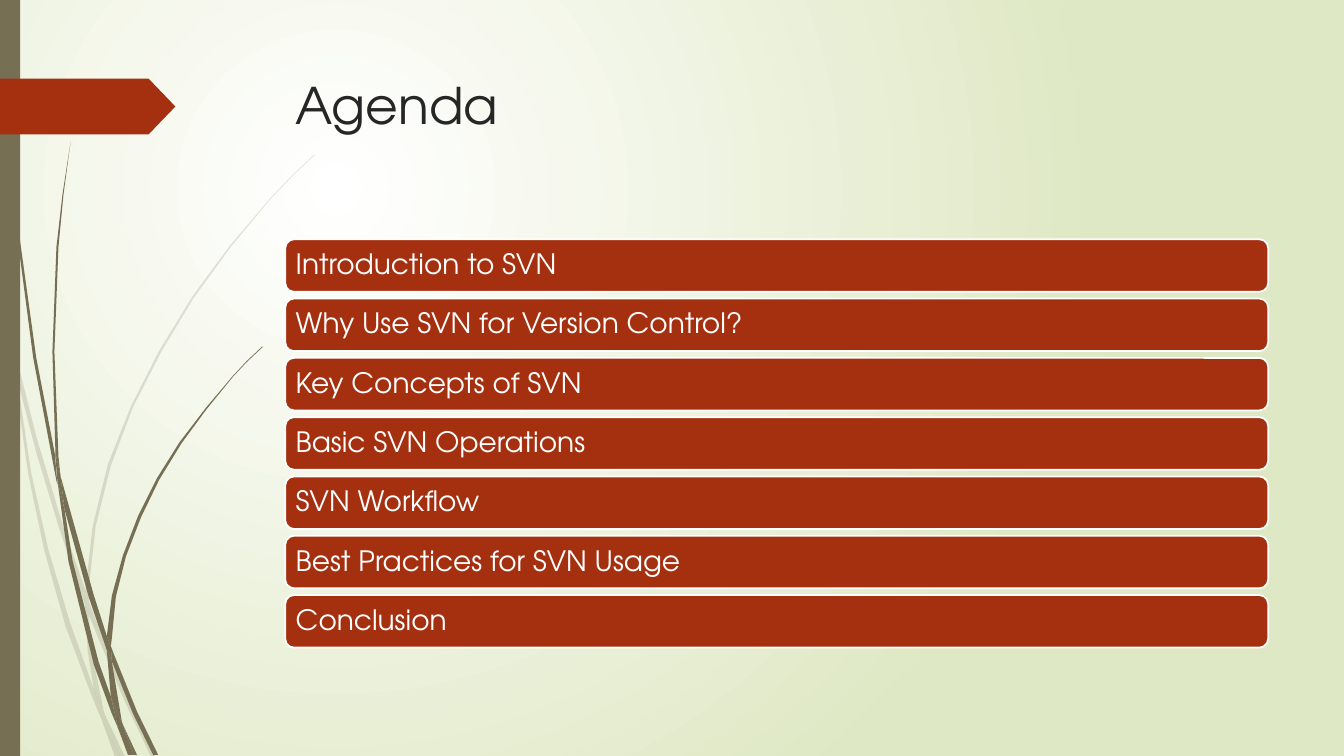
from dataclasses import dataclass

import lxml.etree
import pptx
import pptx.dml.color
import pptx.enum.shapes
import pptx.enum.text
import pptx.oxml.ns
import pptx.util

Cm, Pt = pptx.util.Cm, pptx.util.Pt
RGB = pptx.dml.color.RGBColor.from_string
SHAPES = pptx.enum.shapes.MSO_SHAPE
ANCHOR = pptx.enum.text.MSO_ANCHOR
ALIGN = pptx.enum.text.PP_ALIGN
qn = pptx.oxml.ns.qn


@dataclass(frozen=True)
class Theme:
    font: str = "TeX Gyre Adventor"
    title_size: int = 36
    item_size: int = 20
    accent: str = "A53010"
    grass: str = "766F54"
    title: str = "262626"
    light: str = "FFFFFF"
    backdrop: str = "DFE8C4"
    faint: int = 20


@dataclass(frozen=True)
class Box:
    """A region in centimetres."""
    left: float
    top: float
    width: float
    height: float

    def place(self):
        return Cm(self.left), Cm(self.top), Cm(self.width), Cm(self.height)


THEME = Theme()
PAGE = Box(0, 0, 33.87, 19.05)
TOPICS = [
    "Introduction to SVN",
    "Why Use SVN for Version Control?",
    "Key Concepts of SVN",
    "Basic SVN Operations",
    "SVN Workflow",
    "Best Practices for SVN Usage",
    "Conclusion",
]
# Outlines of the grass, on a grid with this unit.
GRASS_UNIT = Cm(2.54) / 100
FAINT_GRASS = [
    [(11, 350), (9, 322), (0, 282), (0, 299), (10, 344)],
    [(58, 522), (84, 599), (85, 586), (62, 520), (36, 433), (14, 345), (17, 376), (36, 449)],
    [(92, 607), (88, 596), (88, 610), (123, 694), (150, 751), (155, 751), (127, 692)],
    [(119, 751), (124, 751), (105, 711)],
    [(93, 683), (70, 619), (48, 545), (31, 469), (17, 376), (11, 350), (28, 470),
     (44, 546), (65, 621), (92, 693), (101, 714), (99, 707)],
    [(84, 599), (87, 646), (93, 683), (96, 692), (105, 711), (103, 706), (91, 646),
     (88, 610), (88, 608)],
    [(88, 584), (95, 522), (110, 462), (132, 404), (160, 349), (192, 296), (229, 245),
     (268, 198), (290, 175), (312, 154), (312, 153), (289, 175), (268, 197), (228, 244),
     (191, 294), (158, 348), (130, 403), (107, 461), (92, 522), (85, 584), (85, 586),
     (88, 596)],
    [(101, 714), (114, 751), (119, 751)],
    [(88, 608), (88, 610), (88, 596), (85, 586), (84, 599)],
    [(96, 692), (93, 683), (99, 707), (101, 714), (119, 751), (105, 711)],
]
STRONG_GRASS = [
    [(7, 110), (17, 233), (33, 355), (56, 477), (57, 481), (55, 457), (55, 453),
     (36, 355), (19, 232), (8, 109), (5, 48), (4, 0), (3, 0), (4, 48)],
    [(88, 592), (106, 645), (106, 633), (106, 631), (93, 590), (60, 472), (64, 505)],
    [(113, 649), (110, 641), (111, 656), (132, 708), (152, 749), (157, 749), (136, 706)],
    [(110, 691), (98, 657), (72, 556), (64, 505), (57, 477), (68, 557), (93, 659),
     (111, 708), (117, 722), (116, 717)],
    [(60, 472), (58, 453), (54, 349), (58, 245), (63, 193), (70, 141), (62, 193),
     (56, 245), (52, 349), (55, 449)],
    [(133, 749), (136, 749), (122, 719)],
    [(57, 477), (64, 505), (60, 472), (55, 449), (55, 453)],
    [(111, 633), (115, 592), (125, 552), (140, 513), (158, 476), (180, 440), (205, 406),
     (231, 374), (245, 359), (261, 344), (260, 344), (245, 358), (231, 373), (204, 405),
     (178, 439), (156, 474), (137, 512), (122, 551), (111, 591), (106, 631), (110, 641)],
    [(117, 722), (127, 749), (131, 749)],
    [(106, 645), (110, 691), (116, 706), (122, 719), (121, 716), (111, 656), (109, 651)],
    [(106, 645), (109, 651), (111, 656), (110, 641), (106, 631), (106, 633)],
    [(116, 706), (110, 691), (116, 717), (117, 722), (130, 749), (133, 749), (122, 719)],
]


def paint_background(page):
    """Radial gradient centred a quarter of the way in from the top left."""
    fill = page.background.fill
    fill.gradient()
    for stop, color in zip(fill.gradient_stops, (THEME.light, THEME.backdrop)):
        stop.color.rgb = RGB(color)
    gradient = page.element.find(".//" + qn("a:gradFill"))
    gradient.remove(gradient.find(qn("a:lin")))
    circle = lxml.etree.SubElement(gradient, qn("a:path"), path="circle")
    lxml.etree.SubElement(circle, qn("a:fillToRect"),
                          l="50000", t="50000", r="100000", b="100000")


def paint(shape, color, outline=None):
    shape.shadow.inherit = False
    shape.fill.solid()
    shape.fill.fore_color.rgb = RGB(color)
    if outline:
        shape.line.color.rgb = RGB(outline)
        shape.line.width = Pt(1.25)
    else:
        shape.line.fill.background()


def add_grass(page, box, outlines, alpha=None):
    for start, *rest in outlines:
        builder = page.shapes.build_freeform(*start, scale=GRASS_UNIT)
        builder.add_line_segments(rest, close=True)
        blade = builder.convert_to_shape(Cm(box.left), Cm(box.top))
        paint(blade, THEME.grass)
        if alpha:
            color = blade.element.spPr.find(".//" + qn("a:srgbClr"))
            lxml.etree.SubElement(color, qn("a:alpha"), val=str(alpha * 1000))


def add_decoration(page, box):
    add_grass(page, box, FAINT_GRASS, THEME.faint)
    add_grass(page, box, STRONG_GRASS)
    strip = Box(box.left, box.top, 0.51, box.height)
    paint(page.shapes.add_shape(SHAPES.RECTANGLE, *strip.place()), THEME.grass)
    tag = Box(box.left, box.top + 1.98, 4.42, 1.41)
    arrow = page.shapes.add_shape(SHAPES.PENTAGON, *tag.place())
    arrow.adjustments[0] = 0.48
    paint(arrow, THEME.accent)


def style_text(para, size, color):
    para.alignment = ALIGN.LEFT
    para.font.name = THEME.font
    para.font.size = Pt(size)
    para.font.color.rgb = RGB(color)


def add_title(page, box, text):
    title = page.shapes.title
    title.left, title.top, title.width, title.height = box.place()
    title.text_frame.text = text
    title.text_frame.vertical_anchor = ANCHOR.TOP
    style_text(title.text_frame.paragraphs[0], THEME.title_size, THEME.title)


def add_topics(page, box, topics, gap=0.17):
    """Stack equal bars that fill the box, one for each topic."""
    height = (box.height - gap * (len(topics) - 1)) / len(topics)
    for row, topic in enumerate(topics):
        place = Box(box.left, box.top + row * (height + gap), box.width, height)
        bar = page.shapes.add_shape(SHAPES.ROUNDED_RECTANGLE, *place.place())
        paint(bar, THEME.accent, THEME.light)
        frame = bar.text_frame
        frame.text = topic
        frame.word_wrap = True
        frame.vertical_anchor = ANCHOR.MIDDLE
        frame.margin_left = frame.margin_right = Cm(0.2)
        frame.margin_top = frame.margin_bottom = Cm(0.2)
        para = frame.paragraphs[0]
        para.line_spacing = 0.9
        style_text(para, THEME.item_size, THEME.light)


def build_agenda(deck):
    page = deck.slides.add_slide(deck.slide_layouts.get_by_name("Title Only"))
    paint_background(page)
    add_decoration(page, PAGE)
    add_title(page, Box(7.2, 1.73, 24.77, 3.56), "Agenda")
    add_topics(page, Box(7.19, 6.03, 24.77, 10.29), TOPICS)


def main():
    deck = pptx.Presentation()
    deck.slide_width, deck.slide_height = Cm(PAGE.width), Cm(PAGE.height)
    build_agenda(deck)
    deck.save("out.pptx")


if __name__ == "__main__":
    main()
